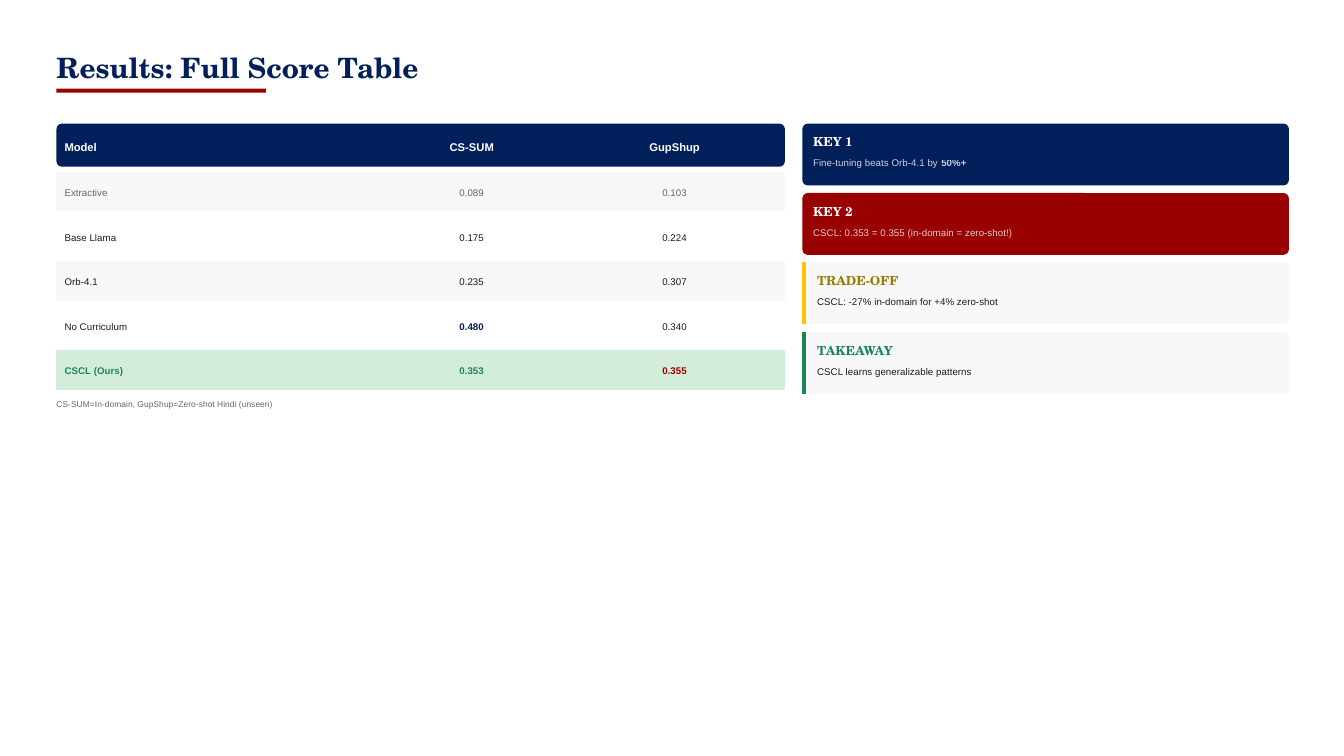
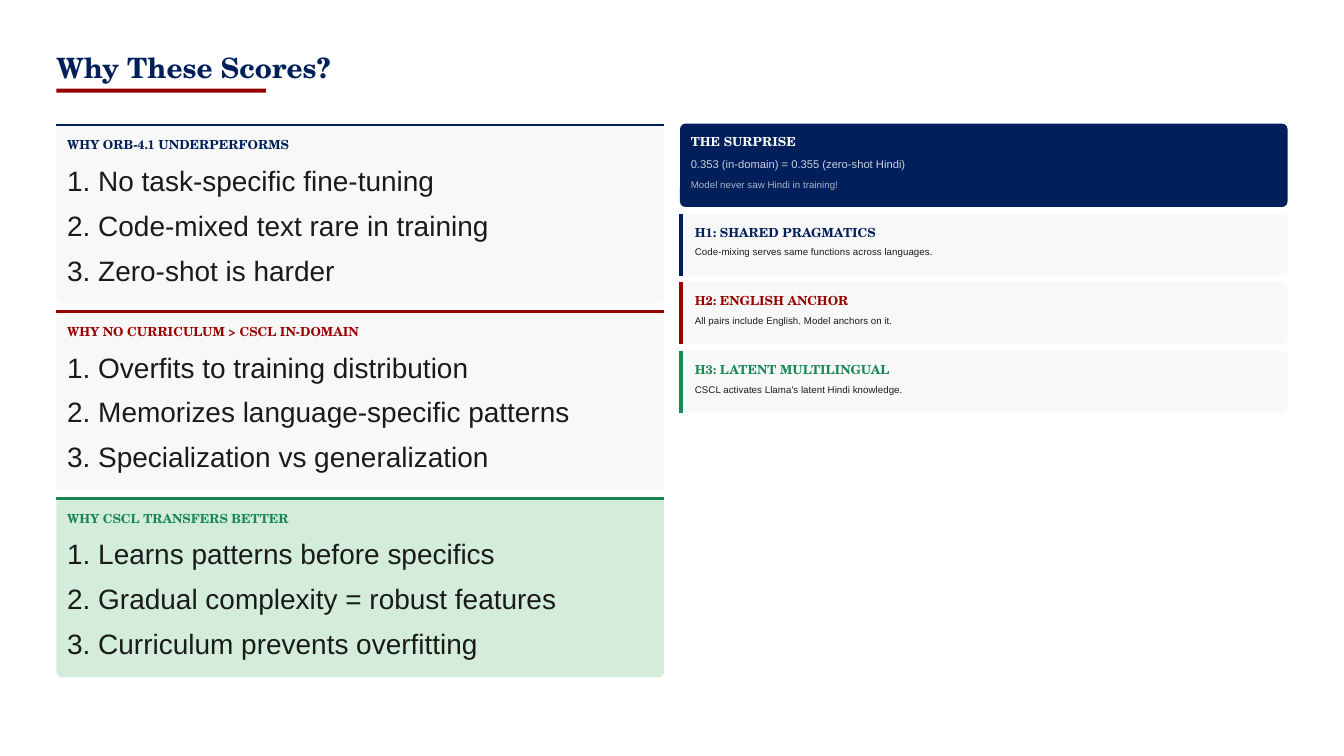
from lxml.etree import SubElement
from pptx import Presentation
from pptx.dml.color import RGBColor
from pptx.enum.shapes import MSO_CONNECTOR, MSO_SHAPE
from pptx.enum.text import MSO_ANCHOR, MSO_AUTO_SIZE, PP_ALIGN
from pptx.oxml.ns import qn
from pptx.util import Inches, Pt

NAVY = RGBColor(0x01, 0x1F, 0x5B)
RED = RGBColor(0x99, 0x00, 0x00)
GREEN = RGBColor(0x19, 0x87, 0x54)
MINT = RGBColor(0xD4, 0xED, 0xDA)
AMBER = RGBColor(0xFF, 0xC1, 0x07)
OLIVE = RGBColor(0x99, 0x7A, 0x00)
PALE = RGBColor(0xF8, 0xF8, 0xF8)
GREY = RGBColor(0x66, 0x66, 0x66)
INK = RGBColor(0x1A, 0x1A, 0x1A)
WHITE = RGBColor(0xFF, 0xFF, 0xFF)
SERIF, SANS = "TeX Gyre Schola", "Arial"
HEAD, BODY = 6.75, 5.25
LEFT, TOP = 0.42, 0.92
NO_GRID = "{2D5ABB26-0587-4C30-8999-92F81FD0307C}"


def write(frame, lines):
    """Fill a text frame with (text, face, size, leading, colour, alpha) lines.

    Double asterisks enclose bold words; serif lines are bold headings.
    """
    frame.margin_left = frame.margin_right = 0
    frame.margin_top = frame.margin_bottom = 0
    frame.word_wrap = True
    frame.auto_size = MSO_AUTO_SIZE.NONE
    frame.vertical_anchor = MSO_ANCHOR.TOP
    for i, (text, face, size, lead, color, alpha) in enumerate(lines):
        para = frame.paragraphs[0] if i == 0 else frame.add_paragraph()
        para.alignment = PP_ALIGN.LEFT
        para.line_spacing = Pt(lead)
        para.space_before = Pt(0)
        para.space_after = Pt(3)
        for j, part in enumerate(text.split("**")):
            if part:
                run = para.add_run()
                run.text = part
                if j % 2:
                    run.font.bold = True
        font = para.font
        font.name, font.size = face, Pt(size)
        font.color.rgb = color
        if face == SERIF:
            font.bold = True
        if alpha < 100:
            tint = next(para._p.iter(qn("a:srgbClr")))
            SubElement(tint, qn("a:alpha"), val=str(alpha * 1000))


def card(slide, x, y, w, h, fill, lines=(), edge=None, side="left"):
    """Draw a rounded panel with an optional coloured edge and its text."""
    panel = slide.shapes.add_shape(
        MSO_SHAPE.ROUNDED_RECTANGLE, Inches(x), Inches(y), Inches(w), Inches(h))
    panel.shadow.inherit = False
    panel.adjustments[0] = 0.04 / h
    panel.fill.solid()
    panel.fill.fore_color.rgb = fill
    panel.line.fill.background()
    dx, dy = 0.08, 0.08
    if edge is not None:
        if side == "left":
            ends, width, dx = (x + 0.01, y, x + 0.01, y + h), 2.25, 0.11
        else:
            ends, width, dy = (x, y + 0.01, x + w, y + 0.01), 1.5, 0.1
        bar = slide.shapes.add_connector(
            MSO_CONNECTOR.STRAIGHT, *[Inches(v) for v in ends])
        bar.line.color.rgb = edge
        bar.line.width = Pt(width)
        SubElement(bar._element.spPr, qn("a:effectLst"))
    if lines:
        box = slide.shapes.add_textbox(
            Inches(x + dx), Inches(y + dy), Inches(w - dx), Inches(h - dy))
        write(box.text_frame, lines)


deck = Presentation()
deck.slide_width = Inches(10)
deck.slide_height = deck.slide_width * 9 // 16

# Shared title and underline
slides = []
for name in ("Results: Full Score Table", "Why These Scores?"):
    slide = deck.slides.add_slide(deck.slide_layouts[5])
    title = slide.shapes.title
    title.left, title.top = Inches(LEFT), Inches(0.42)
    title.width, title.height = Inches(4.69), Inches(0.21)
    write(title.text_frame, [(name, SERIF, 15, 15, NAVY, 100)])
    rule = slide.shapes.add_shape(
        MSO_SHAPE.RECTANGLE, Inches(LEFT), Inches(0.66), Inches(1.56), Inches(0.03))
    rule.shadow.inherit = False
    rule.fill.solid()
    rule.fill.fore_color.rgb = RED
    rule.line.fill.background()
    slides.append(slide)
scores, reasons = slides

# Score table: the header sits on a rounded panel, white borders part the rows
rows = [
    ("Model", "CS-SUM", "GupShup"),
    ("Extractive", "0.089", "0.103"),
    ("Base Llama", "0.175", "0.224"),
    ("Orb-4.1", "0.235", "0.307"),
    ("No Curriculum", "0.480", "0.340"),
    ("CSCL (Ours)", "0.353", "0.355"),
]
fills = [None, PALE, WHITE, PALE, WHITE, MINT]
inks = [WHITE, GREY, INK, INK, INK, GREEN]
marks = {(4, 1): NAVY, (5, 2): RED}
card(scores, LEFT, TOP, 5.42, 0.32, NAVY)
table = scores.shapes.add_table(
    6, 3, Inches(LEFT), Inches(TOP), Inches(5.42), Inches(2)).table
table.first_row = table.horz_banding = False
next(table._tbl.iter(qn("a:tableStyleId"))).text = NO_GRID
for col, width in zip(table.columns, (2.33, 1.52, 1.57)):
    col.width = Inches(width)
for r, row in enumerate(rows):
    table.rows[r].height = Inches(0.34) if r == 0 else Inches(1.66) // 5
    for c, text in enumerate(row):
        cell = table.cell(r, c)
        cell.margin_left = Inches(0.06 if c == 0 else 0)
        cell.margin_right = Inches(0.07 if c == 2 else 0)
        cell.margin_top = cell.margin_bottom = 0
        cell.vertical_anchor = MSO_ANCHOR.MIDDLE
        if r == 0:
            cell.fill.background()
        else:
            for tag in ("a:lnT", "a:lnB"):
                line = SubElement(cell._tc.get_or_add_tcPr(), qn(tag), w=str(Pt(3)))
                paint = SubElement(line, qn("a:solidFill"))
                SubElement(paint, qn("a:srgbClr"), val=str(WHITE))
            cell.fill.solid()
            cell.fill.fore_color.rgb = fills[r]
        cell.text = text
        para = cell.text_frame.paragraphs[0]
        para.alignment = PP_ALIGN.CENTER if c else PP_ALIGN.LEFT
        para.line_spacing = Pt(7.3 if r else 8.4)
        para.font.name = SANS
        para.font.size = Pt(BODY if r else 6)
        para.font.bold = r in (0, 5) or (r, c) in marks
        para.font.color.rgb = marks.get((r, c), inks[r])

note = scores.shapes.add_textbox(
    Inches(LEFT), Inches(2.96), Inches(5.53), Inches(0.09))
write(note.text_frame, [
    ("CS-SUM=In-domain, GupShup=Zero-shot Hindi (unseen)", SANS, 4.5, 6.3, GREY, 100)])

# Key findings
keys = [
    ("KEY 1", "Fine-tuning beats Orb-4.1 by **50%+**", NAVY, WHITE, WHITE, 80, None),
    ("KEY 2", "CSCL: 0.353 = 0.355 (in-domain = zero-shot!)",
     RED, WHITE, WHITE, 80, None),
    ("TRADE-OFF", "CSCL: -27% in-domain for +4% zero-shot",
     PALE, OLIVE, INK, 100, AMBER),
    ("TAKEAWAY", "CSCL learns generalizable patterns", PALE, GREEN, INK, 100, GREEN),
]
for i, (head, body, fill, tone, ink, alpha, edge) in enumerate(keys):
    card(scores, 5.97, TOP + 1.55 / 3 * i, 3.62, 0.46, fill,
         [(head, SERIF, HEAD, 8.1, tone, 100), (body, SANS, BODY, 7.3, ink, alpha)],
         edge)

# Reasons behind the scores
causes = [
    ("WHY ORB-4.1 UNDERPERFORMS", NAVY, PALE,
     ["1. No task-specific fine-tuning", "2. Code-mixed text rare in training",
      "3. Zero-shot is harder"]),
    ("WHY NO CURRICULUM > CSCL IN-DOMAIN", RED, PALE,
     ["1. Overfits to training distribution",
      "2. Memorizes language-specific patterns",
      "3. Specialization vs generalization"]),
    ("WHY CSCL TRANSFERS BETTER", GREEN, MINT,
     ["1. Learns patterns before specifics",
      "2. Gradual complexity = robust features",
      "3. Curriculum prevents overfitting"]),
]
for i, (head, tone, fill, points) in enumerate(causes):
    lines = [(head, SERIF, HEAD, 8.1, tone, 100)]
    lines += [(point, SANS, 15, 21, INK, 100) for point in points]
    card(reasons, LEFT, TOP + 1.39 * i, 4.52, 1.34, fill, lines, tone, "top")

# The surprise and its hypotheses
card(reasons, 5.06, TOP, 4.52, 0.62, NAVY, [
    ("THE SURPRISE", SERIF, HEAD, 8.1, WHITE, 100),
    ("0.353 (in-domain) = 0.355 (zero-shot Hindi)", SANS, 6, 8.4, WHITE, 80),
    ("Model never saw Hindi in training!", SANS, BODY, 7.3, WHITE, 67),
])
ideas = [
    ("H1: SHARED PRAGMATICS", NAVY,
     "Code-mixing serves same functions across languages."),
    ("H2: ENGLISH ANCHOR", RED, "All pairs include English. Model anchors on it."),
    ("H3: LATENT MULTILINGUAL", GREEN,
     "CSCL activates Llama's latent Hindi knowledge."),
]
for i, (head, tone, body) in enumerate(ideas):
    card(reasons, 5.06, 1.59 + 0.51 * i, 4.52, 0.46, PALE,
         [(head, SERIF, HEAD, 8.1, tone, 100), (body, SANS, BODY, 6.8, INK, 100)],
         tone)

deck.save("out.pptx")
